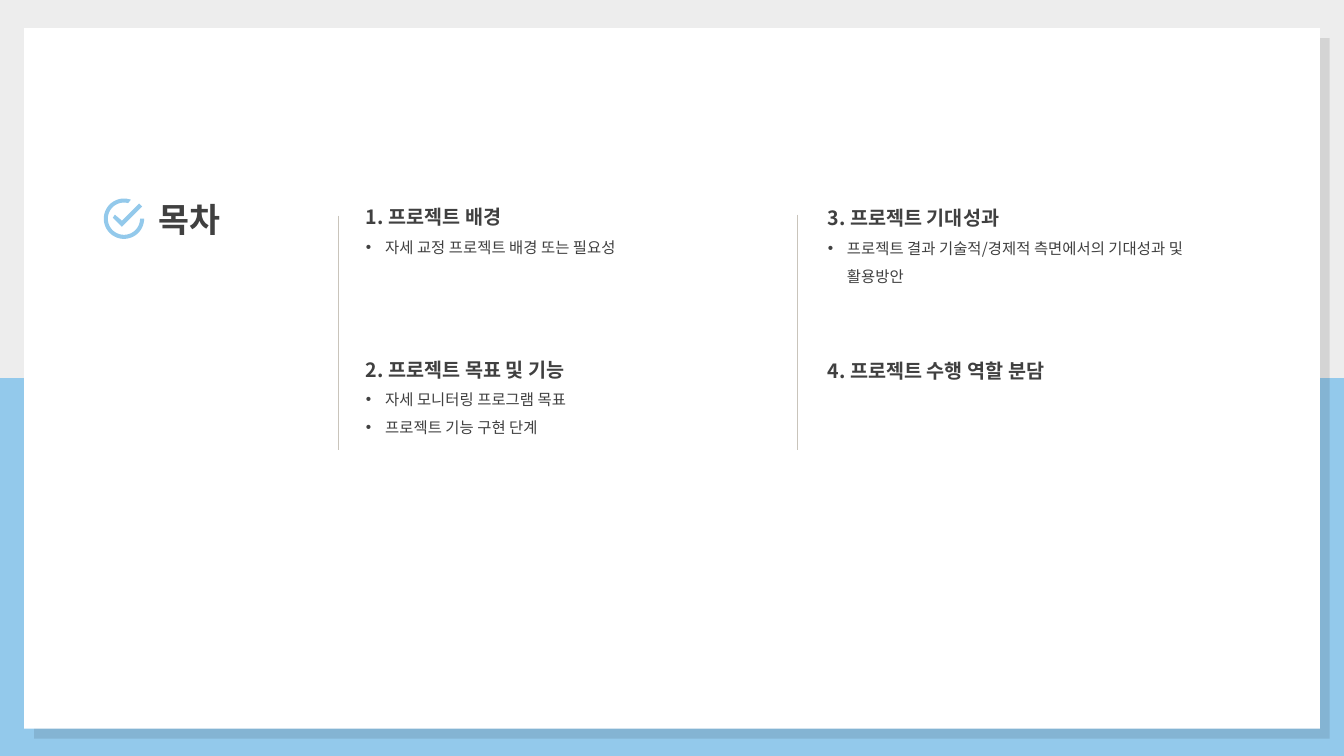
from dataclasses import dataclass
from math import cos, radians, sin

from lxml.etree import SubElement
from pptx import Presentation
from pptx.dml.color import RGBColor
from pptx.enum.shapes import MSO_CONNECTOR, MSO_SHAPE
from pptx.enum.text import MSO_ANCHOR, MSO_AUTO_SIZE, PP_ALIGN
from pptx.oxml.ns import qn
from pptx.util import Inches, Pt

TITLE = "목차"
# Sections run down each column in turn: left, top, height, heading, items
SECTIONS = [
    (3.53, 1.87, 0.70, "1. 프로젝트 배경", ["자세 교정 프로젝트 배경 또는 필요성"]),
    (3.53, 3.38, 0.97, "2. 프로젝트 목표 및 기능",
     ["자세 모니터링 프로그램 목표", "프로젝트 기능 구현 단계"]),
    (8.11, 1.88, 0.97, "3. 프로젝트 기대성과",
     ["프로젝트 결과 기술적/경제적 측면에서의 기대성과 및 활용방안"]),
    (8.11, 3.39, 0.41, "4. 프로젝트 수행 역할 분담", []),
]
SECTION_WIDTH = 4.25
DIVIDERS = [(3.36, 2.14, 4.46), (7.91, 2.13, 4.46)]
CHECK_MARK = [(1.38, 2.02), (1.41, 2.05), (1.21, 2.25),
              (1.12, 2.16), (1.14, 2.13), (1.21, 2.19)]
RING_CENTER = (1.23, 2.17)
RING_RADII = (0.2, 0.16)


@dataclass(frozen=True)
class Theme:
    font: str = "Noto Sans CJK KR"
    blue: str = "93C9EB"
    gray: str = "EDEDED"
    white: str = "FFFFFF"
    ink: str = "404040"
    divider: str = "C9C4BB"
    title_size: int = 24
    heading_size: int = 14
    item_size: int = 11


THEME = Theme()


def color(value):
    return RGBColor.from_string(value)


def fill_plain(shape, value):
    shape.shadow.inherit = False
    shape.fill.solid()
    shape.fill.fore_color.rgb = color(value)
    shape.line.fill.background()


def add_panel(slide, left, top, width, height, value):
    panel = slide.shapes.add_shape(MSO_SHAPE.RECTANGLE, Inches(left), Inches(top),
                                   Inches(width), Inches(height))
    fill_plain(panel, value)
    return panel


def add_card_shadow(card):
    effects = card._element.spPr.find(qn("a:effectLst"))
    shadow = SubElement(effects, qn("a:outerShdw"), blurRad="0", dist=str(Pt(10)),
                        dir="2700000", algn="tl", rotWithShape="0")
    black = SubElement(shadow, qn("a:srgbClr"), val="000000")
    SubElement(black, qn("a:alpha"), val="10000")


def place(shape, left, top, width, height):
    shape.left, shape.top = Inches(left), Inches(top)
    shape.width, shape.height = Inches(width), Inches(height)


def bring_to_front(shape):
    shape._element.getparent().append(shape._element)


def format_paragraph(paragraph, size, bold):
    paragraph.alignment = PP_ALIGN.LEFT
    paragraph.space_before = paragraph.space_after = Pt(0)
    for run in paragraph.runs:
        run.font.name = THEME.font
        run.font.size = Pt(size)
        run.font.bold = bold
        run.font.color.rgb = color(THEME.ink)
        SubElement(run.font._element, qn("a:ea"), typeface=THEME.font)


def set_bullet(paragraph, bullet):
    properties = paragraph._p.get_or_add_pPr()
    indent = Inches(0.19) if bullet else 0
    properties.set("marL", str(indent))
    properties.set("indent", str(-indent))
    if bullet:
        SubElement(properties, qn("a:buFont"), typeface="Arial")
        SubElement(properties, qn("a:buChar"), char="•")
    else:
        SubElement(properties, qn("a:buNone"))


def fill_section(placeholder, left, top, height, heading, items):
    place(placeholder, left, top, SECTION_WIDTH, height)
    frame = placeholder.text_frame
    frame.text = "\n".join([heading, *items])
    frame.word_wrap = True
    frame.auto_size = MSO_AUTO_SIZE.SHAPE_TO_FIT_TEXT
    frame.vertical_anchor = MSO_ANCHOR.TOP
    for index, paragraph in enumerate(frame.paragraphs):
        is_item = index > 0
        format_paragraph(paragraph, THEME.item_size if is_item else THEME.heading_size,
                         not is_item)
        paragraph.line_spacing = 1.5
        set_bullet(paragraph, is_item)


def fill_title(title):
    place(title, 1.47, 1.92, 1.7, 0.5)
    frame = title.text_frame
    frame.text = TITLE
    frame.word_wrap = True
    frame.auto_size = MSO_AUTO_SIZE.NONE
    frame.vertical_anchor = MSO_ANCHOR.MIDDLE
    format_paragraph(frame.paragraphs[0], THEME.title_size, True)
    frame.paragraphs[0].line_spacing = 1.0


def ring_outline():
    """Points of a ring open at its upper right, outer edge first."""
    def arc(radius, degrees):
        return [(RING_CENTER[0] + radius * cos(radians(angle)),
                 RING_CENTER[1] + radius * sin(radians(angle))) for angle in degrees]
    outer, inner = RING_RADII
    return arc(outer, range(0, 291, 5)) + arc(inner, range(285, -1, -5))


def add_check_icon(slide):
    mark, ring = ([(Inches(x), Inches(y)) for x, y in outline]
                  for outline in (CHECK_MARK, ring_outline()))
    builder = slide.shapes.build_freeform(*mark[0])
    builder.add_line_segments(mark[1:], close=True)
    builder.move_to(*ring[0])
    builder.add_line_segments(ring[1:], close=True)
    fill_plain(builder.convert_to_shape(), THEME.blue)


def add_divider(slide, x, top, bottom):
    divider = slide.shapes.add_connector(MSO_CONNECTOR.STRAIGHT, Inches(x), Inches(top),
                                         Inches(x), Inches(bottom))
    divider.line.color.rgb = color(THEME.divider)
    divider.line.width = Pt(0.5)
    SubElement(divider._element.spPr, qn("a:effectLst"))


def main():
    presentation = Presentation()
    presentation.slide_width, presentation.slide_height = Inches(13.33), Inches(7.5)
    comparison_layout = presentation.slide_layouts[4]
    slide = presentation.slides.add_slide(comparison_layout)
    slide.background.fill.solid()
    slide.background.fill.fore_color.rgb = color(THEME.blue)
    title, *bodies = list(slide.placeholders)

    add_panel(slide, 0, 0, 13.33, 3.75, THEME.gray)
    add_card_shadow(add_panel(slide, 0.24, 0.28, 12.85, 6.95, THEME.white))
    add_check_icon(slide)
    fill_title(title)
    bring_to_front(title)
    for body, section in zip(bodies, SECTIONS):
        fill_section(body, *section)
        bring_to_front(body)
    for divider in DIVIDERS:
        add_divider(slide, *divider)
    presentation.save("out.pptx")


if __name__ == "__main__":
    main()
